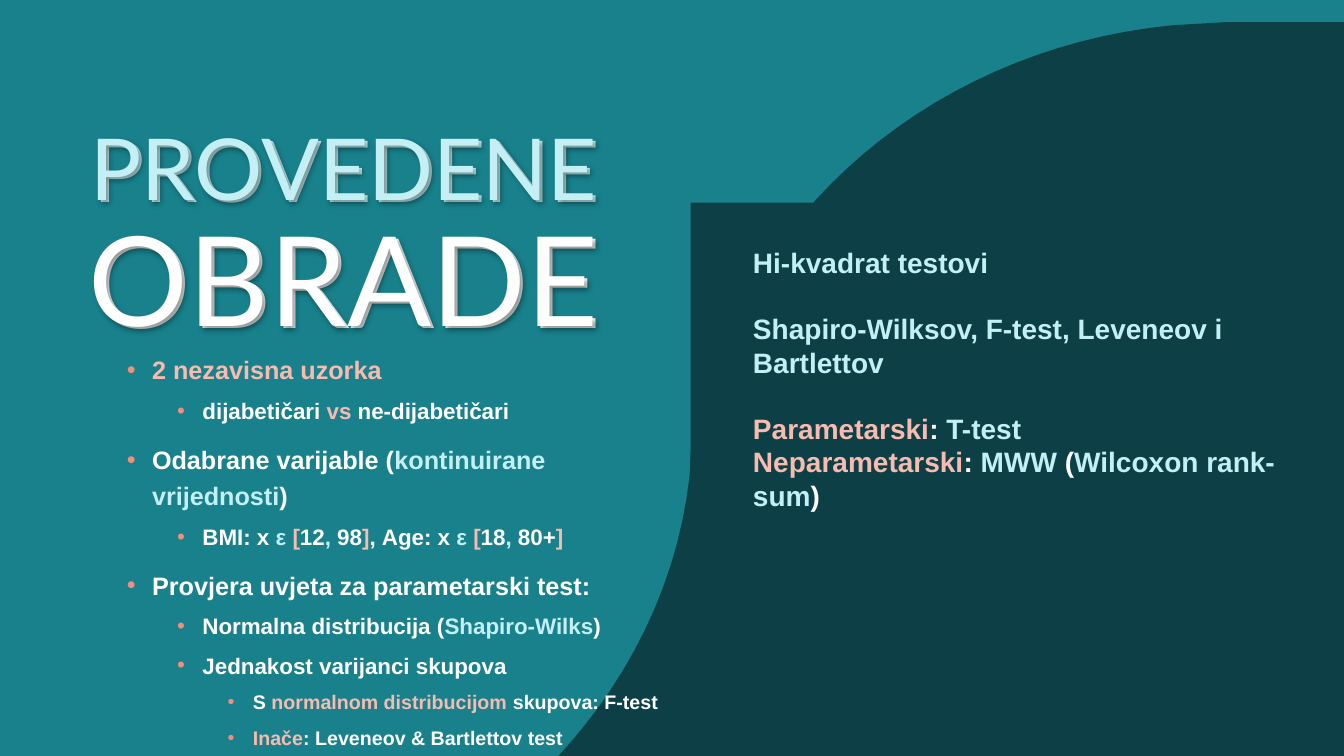
"""Build the "Provedene obrade" slide: curved panels, a doubled title and two text blocks."""
from dataclasses import dataclass

from lxml import etree
from pptx import Presentation
from pptx.dml.color import RGBColor
from pptx.enum.text import MSO_ANCHOR, PP_ALIGN
from pptx.oxml.ns import qn
from pptx.util import Inches, Pt

TOP = MSO_ANCHOR.TOP
CENTER, LEFT = PP_ALIGN.CENTER, PP_ALIGN.LEFT


@dataclass(frozen=True)
class Theme:
    teal: str = "18818C"
    dark: str = "0C4046"
    ice: str = "C4F0F5"
    white: str = "FFFFFF"
    pink: str = "F8BBB0"
    bullet: str = "F48E7C"
    body_font: str = "Arial"
    title_font: str = "Lato"
    title_sizes: tuple = (61, 89)
    level_sizes: tuple = (18, 16, 14)
    level_gaps: tuple = (10, 5, 5)
    method_size: int = 20
    method_gap: int = 23


THEME = Theme()
ICE, WHITE, PINK = THEME.ice, THEME.white, THEME.pink

TITLE = [("PROVEDENE", ICE), ("OBRADE", WHITE)]

OUTLINE = [
    (0, [("2 nezavisna uzorka", PINK)]),
    (1, [("dijabetičari ", WHITE), ("vs", PINK), (" ne-dijabetičari", WHITE)]),
    (0, [("Odabrane varijable (", WHITE), ("kontinuirane vrijednosti", ICE), (")", WHITE)]),
    (1, [("BMI: x ", WHITE), ("ε ", ICE), ("[", PINK), ("12", WHITE), (", ", ICE),
         ("98", WHITE), ("]", PINK), (", Age: x ", WHITE), ("ε ", ICE), ("[", PINK),
         ("18", WHITE), (",", ICE), (" 80+", WHITE), ("]", PINK)]),
    (0, [("Provjera uvjeta za parametarski test:", WHITE)]),
    (1, [("Normalna distribucija (", WHITE), ("Shapiro-Wilks", ICE), (")", WHITE)]),
    (1, [("Jednakost varijanci skupova", WHITE)]),
    (2, [("S ", WHITE), ("normalnom distribucijom ", PINK), ("skupova: F-test", WHITE)]),
    (2, [("Inače", PINK), (": Leveneov & Bartlettov test", WHITE)]),
]

METHODS = [
    (False, [("Hi-kvadrat testovi", ICE)]),
    (True, [("Shapiro-Wilksov, F-test, Leveneov i Bartlettov", ICE)]),
    (True, [("Parametarski", PINK), (": ", WHITE), ("T-test", ICE)]),
    (False, [("Neparametarski", PINK), (": ", WHITE), ("MWW", ICE), (" (", WHITE),
             ("Wilcoxon rank-sum", ICE), (")", WHITE)]),
]

COLUMN = ROW = Inches(1)
WIDTH, HEIGHT = 13.33, 7.5
CURVE_STEPS = 32

# Two numbers are a corner; six are the controls and end of a curve.
BASE_PANEL = [(3.96, 18.24), (1.79, 18.24), (1.79, 2.01), (WIDTH, 2.01), (WIDTH, 10.34),
              (13.31, 10.76), (12.88, 14.68, 9.33, 17.8, 4.86, 18.2)]
LEFT_PANEL = [(0.91, 9.45), (-0.46, 9.45), (-0.46, -0.83), (6.85, -0.83), (6.85, 4.44),
              (6.84, 4.71), (6.57, 7.19, 4.32, 9.17, 1.48, 9.42)]
RIGHT_PANEL = [(12.15, 0.22), (13.38, 0.22), (13.38, 9.86), (6.85, 9.86), (6.85, 4.92),
               (6.87, 4.67), (7.11, 2.34, 9.11, 0.49, 11.64, 0.25)]

TITLE_LAYERS = [((0.66, 1.23, 5.56, 2.46), False), ((0.63, 1.21, 5.56, 2.46), True)]
OUTLINE_BOX = (1.16, 3.41, 5.56, 4.15)
METHODS_BOX = (7.37, 2.39, 5.67, 2.65)


def trace(corners):
    points = []
    for corner in corners:
        if len(corner) == 2:
            points.append(corner)
            continue
        knots = [points[-1], corner[:2], corner[2:4], corner[4:]]
        for step in range(1, CURVE_STEPS + 1):
            t = step / CURVE_STEPS
            weights = ((1 - t) ** 3, 3 * t * (1 - t) ** 2, 3 * t * t * (1 - t), t ** 3)
            points.append(tuple(sum(w * k[axis] for w, k in zip(weights, knots))
                                for axis in (0, 1)))
    return [(round(x * COLUMN), round(y * ROW)) for x, y in points]


def add_panel(slide, corners, colour):
    start, *rest = trace(corners)
    builder = slide.shapes.build_freeform(*start)
    builder.add_line_segments(rest, close=True)
    panel = builder.convert_to_shape()
    panel.shadow.inherit = False
    panel.fill.solid()
    panel.fill.fore_color.rgb = RGBColor.from_string(colour)
    panel.line.fill.background()


def add_text_frame(slide, box):
    left, top, width, height = box
    holder = slide.shapes.add_textbox(round(left * COLUMN), round(top * ROW),
                                      round(width * COLUMN), round(height * ROW))
    holder.text_frame.word_wrap = True
    holder.text_frame.vertical_anchor = TOP
    return holder


def write(frame, runs, *, size, font, bold=False, align=LEFT, line=1.0, gap=0, level=None):
    first = not frame.paragraphs[0].runs
    paragraph = frame.paragraphs[0] if first else frame.add_paragraph()
    paragraph.alignment, paragraph.line_spacing = align, line
    paragraph.space_before = Pt(gap)
    if level is not None:
        paragraph.level = level
        settings = paragraph._p.get_or_add_pPr()
        settings.set("marL", str(Inches(0.25 + 0.5 * level)))
        settings.set("indent", str(-Inches(0.25)))
        tint = etree.SubElement(settings, qn("a:buClr"))
        etree.SubElement(tint, qn("a:srgbClr"), val=THEME.bullet)
        etree.SubElement(settings, qn("a:buFont"), typeface=font)
        etree.SubElement(settings, qn("a:buChar"), char="•")
    for text, colour in runs:
        run = paragraph.add_run()
        run.text = text
        run.font.size, run.font.name, run.font.bold = Pt(size), font, bold
        run.font.color.rgb = RGBColor.from_string(colour)


def cast_shadow(holder):
    effects = etree.SubElement(holder._element.spPr, qn("a:effectLst"))
    shadow = etree.SubElement(effects, qn("a:outerShdw"), blurRad=str(Pt(4)),
                              dist=str(Pt(3)), dir="2700000", algn="tl", rotWithShape="0")
    shade = etree.SubElement(shadow, qn("a:srgbClr"), val="000000")
    etree.SubElement(shade, qn("a:alpha"), val="40000")


def main():
    deck = Presentation()
    deck.slide_width, deck.slide_height = Inches(WIDTH), Inches(HEIGHT)
    slide = deck.slides.add_slide(deck.slide_layouts[6])
    slide.background.fill.solid()
    slide.background.fill.fore_color.rgb = RGBColor.from_string(THEME.teal)

    add_panel(slide, BASE_PANEL, THEME.dark)
    add_panel(slide, LEFT_PANEL, THEME.teal)
    add_panel(slide, RIGHT_PANEL, THEME.dark)

    for box, shadowed in TITLE_LAYERS:
        title = add_text_frame(slide, box)
        for word, size in zip(TITLE, THEME.title_sizes):
            write(title.text_frame, [word], size=size, font=THEME.title_font,
                  align=CENTER, line=0.9)
        if shadowed:
            cast_shadow(title)

    outline = add_text_frame(slide, OUTLINE_BOX).text_frame
    for level, runs in OUTLINE:
        write(outline, runs, size=THEME.level_sizes[level], font=THEME.body_font, bold=True,
              line=1.2, gap=THEME.level_gaps[level], level=level)

    methods = add_text_frame(slide, METHODS_BOX).text_frame
    for spaced, runs in METHODS:
        write(methods, runs, size=THEME.method_size, font=THEME.body_font, bold=True,
              gap=THEME.method_gap if spaced else 0)

    deck.save("out.pptx")


if __name__ == "__main__":
    main()
